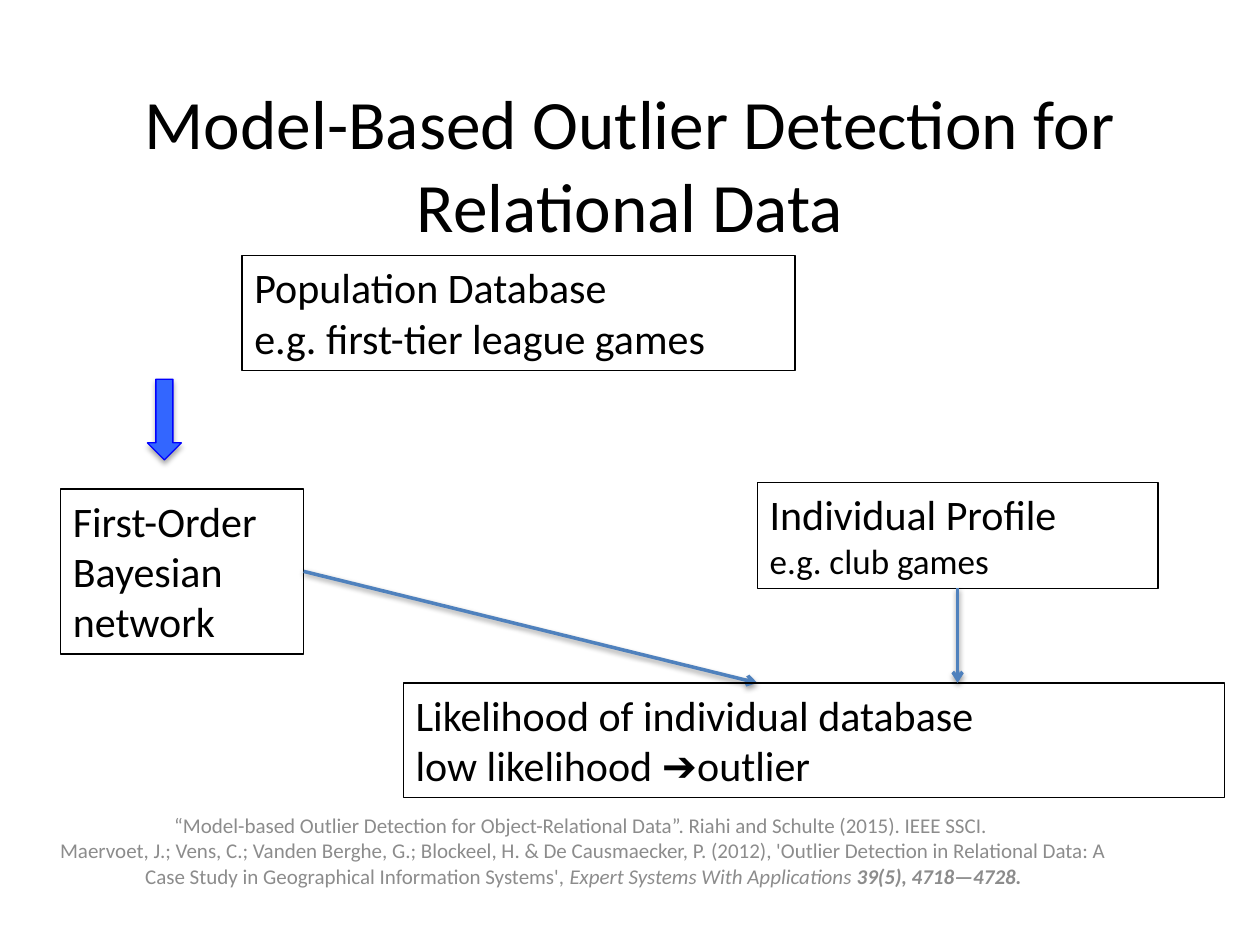
from lxml.etree import SubElement
from pptx import Presentation
from pptx.dml.color import RGBColor
from pptx.enum.shapes import MSO_CONNECTOR as Link, MSO_SHAPE as Preset
from pptx.enum.text import MSO_ANCHOR as Anchor, MSO_AUTO_SIZE as Fit, PP_ALIGN as Align
from pptx.oxml.ns import qn
from pptx.util import Inches, Pt

COLORS = {"ink": "000000", "muted": "8C8C8C", "link": "4F81BD",
          "arrow": "3366FF", "arrow_edge": "0000FF"}
COLUMNS, ROWS = 100, 75
BOTTOM, RIGHT = 2, 3


def color(name):
    return RGBColor.from_string(COLORS[name])


def write(paragraph, text, size=24, ink="ink", font="Calibri", bold=False, italic=False):
    for number, line in enumerate(text.split("\n")):
        if number:
            paragraph.add_line_break()
        if line:
            run = paragraph.add_run()
            run.text = line
            run.font.size, run.font.name = Pt(size), font
            run.font.bold, run.font.italic = bold, italic
            run.font.color.rgb = color(ink)


class Diagram:
    """Draws styled elements on one slide, placed in grid columns and rows."""

    def __init__(self, deck):
        self.slide = deck.slides.add_slide(deck.slide_layouts[6])
        self.column, self.row = deck.slide_width / COLUMNS, deck.slide_height / ROWS

    def place(self, *lengths):
        units = (self.column, self.row) * 2
        return [round(length * unit) for length, unit in zip(lengths, units)]

    def fill_frame(self, frame, paragraphs, align):
        frame.word_wrap = True
        for number, runs in enumerate(paragraphs):
            paragraph = frame.add_paragraph() if number else frame.paragraphs[0]
            paragraph.alignment = align
            for text, style in runs:
                write(paragraph, text, **style)

    def caption(self, area, *runs):
        frame = self.slide.shapes.add_textbox(*self.place(*area)).text_frame
        frame.vertical_anchor = Anchor.MIDDLE
        self.fill_frame(frame, [runs], Align.CENTER)

    def preset(self, kind, area, edge):
        shape = self.slide.shapes.add_shape(kind, *self.place(*area))
        shape.shadow.inherit = False
        shape.line.color.rgb, shape.line.width = color(edge), Pt(0.75)
        return shape

    def box(self, area, *paragraphs):
        shape = self.preset(Preset.RECTANGLE, area, "ink")
        shape.fill.background()
        frame = shape.text_frame
        frame.vertical_anchor = Anchor.TOP
        self.fill_frame(frame, paragraphs, Align.LEFT)
        frame.auto_size = Fit.SHAPE_TO_FIT_TEXT
        return shape

    def cast_shadow(self, effects, alpha, distance):
        shadow = SubElement(effects, qn("a:outerShdw"), blurRad=str(Pt(3.1)),
                            dist=str(Pt(distance)), dir="5400000", rotWithShape="0")
        shade = SubElement(shadow, qn("a:srgbClr"), val=COLORS["ink"])
        SubElement(shade, qn("a:alpha"), val=str(alpha * 1000))

    def down_arrow(self, area):
        arrow = self.preset(Preset.DOWN_ARROW, area, "arrow_edge")
        arrow.fill.solid()
        arrow.fill.fore_color.rgb = color("arrow")
        self.cast_shadow(arrow._element.spPr.find(qn("a:effectLst")), 35, 1.8)

    def link(self, source, side, start, end):
        link = self.slide.shapes.add_connector(Link.STRAIGHT, *self.place(*start, *end))
        link.begin_connect(source, side)
        link.line.color.rgb, link.line.width = color("link"), Pt(2)
        SubElement(link.line._get_or_add_ln(), qn("a:tailEnd"), type="arrow")
        self.cast_shadow(SubElement(link._element.spPr, qn("a:effectLst")), 38, 1.6)


def main():
    deck = Presentation()
    deck.slide_width, deck.slide_height = Inches(10), Inches(7.5)
    diagram = Diagram(deck)
    note = {"size": 12, "ink": "muted"}

    diagram.caption((5, 6.7, 90, 12.5),
                    ("Model-Based Outlier Detection for Relational Data", {"size": 39.6}))
    diagram.caption(
        (3.2, 62.5, 86.2, 10),
        ("“Model-based Outlier Detection for Object-Relational Data”. "
         "Riahi and Schulte (2015). IEEE SSCI. \n"
         "Maervoet, J.; Vens, C.; Vanden Berghe, G.; Blockeel, H. & De Causmaecker, P. (2012), "
         "'Outlier Detection in Relational Data: A Case Study in Geographical Information "
         "Systems', ", note),
        ("Expert Systems With Applications ", {**note, "italic": True}),
        ("39(5), 4718—4728.", {**note, "italic": True, "bold": True}))

    profile = diagram.box((60.1, 38.3, 31.8, 8.4),
                          [("Individual Profile\n", {}), ("e.g. club games", {"size": 20})])
    network = diagram.box((4.8, 38.8, 19.3, 13.1), [("First-Order Bayesian network", {})])
    diagram.link(network, RIGHT, (24.1, 45.4), (60.1, 54.2))
    diagram.down_arrow((11.7, 30.1, 2.7, 6.4))
    diagram.box((32, 54.2, 65.2, 9.1),
                [("Likelihood of individual database", {})],
                [("low likelihood ", {}), ("➔", {"font": "Arial"}), ("outlier", {})])
    diagram.box((19.2, 20.3, 43.9, 9.1),
                [("Population Database\ne.g. first-tier league games", {})])
    diagram.link(profile, BOTTOM, (76, 46.7), (76, 54.2))
    deck.save("out.pptx")


if __name__ == "__main__":
    main()
